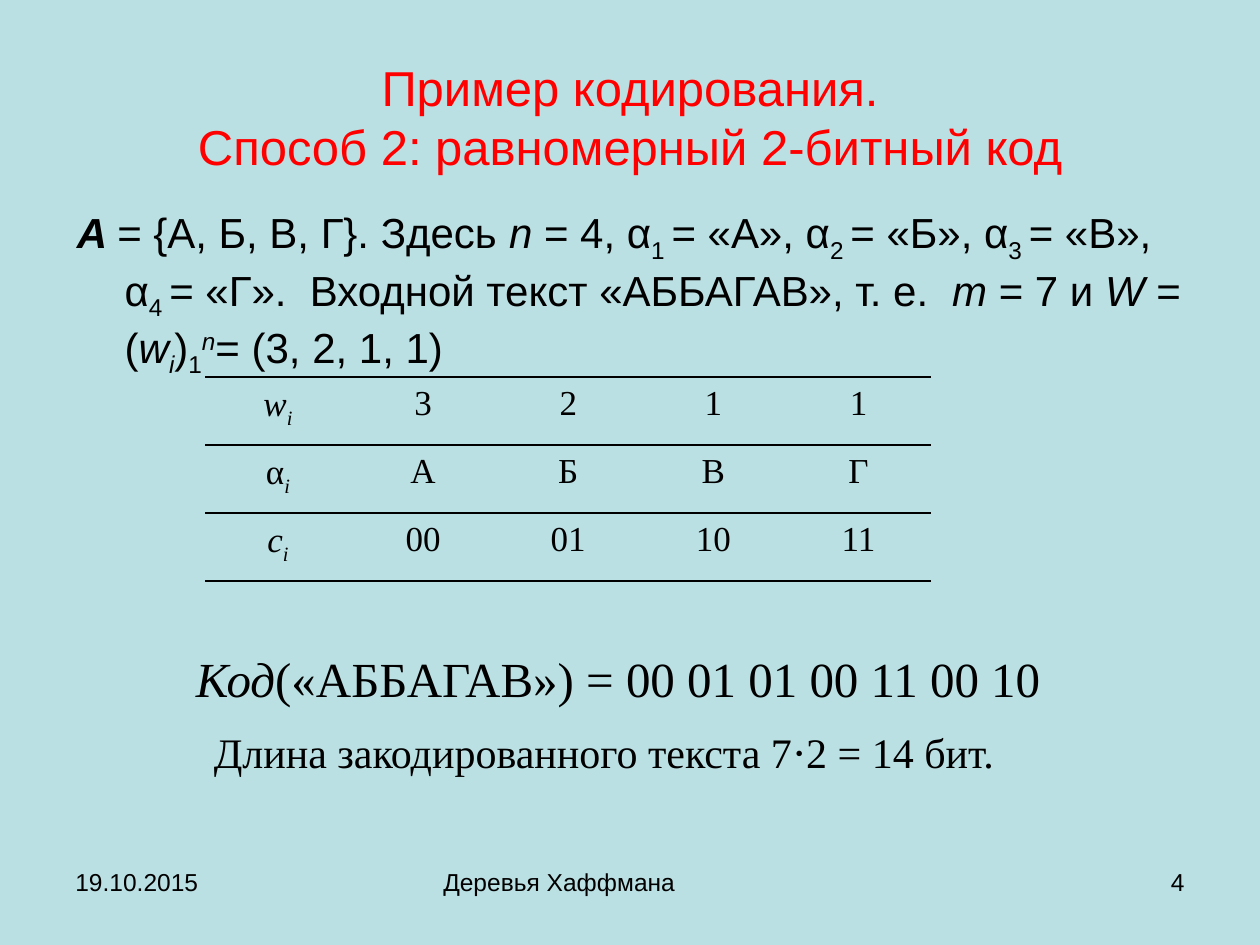
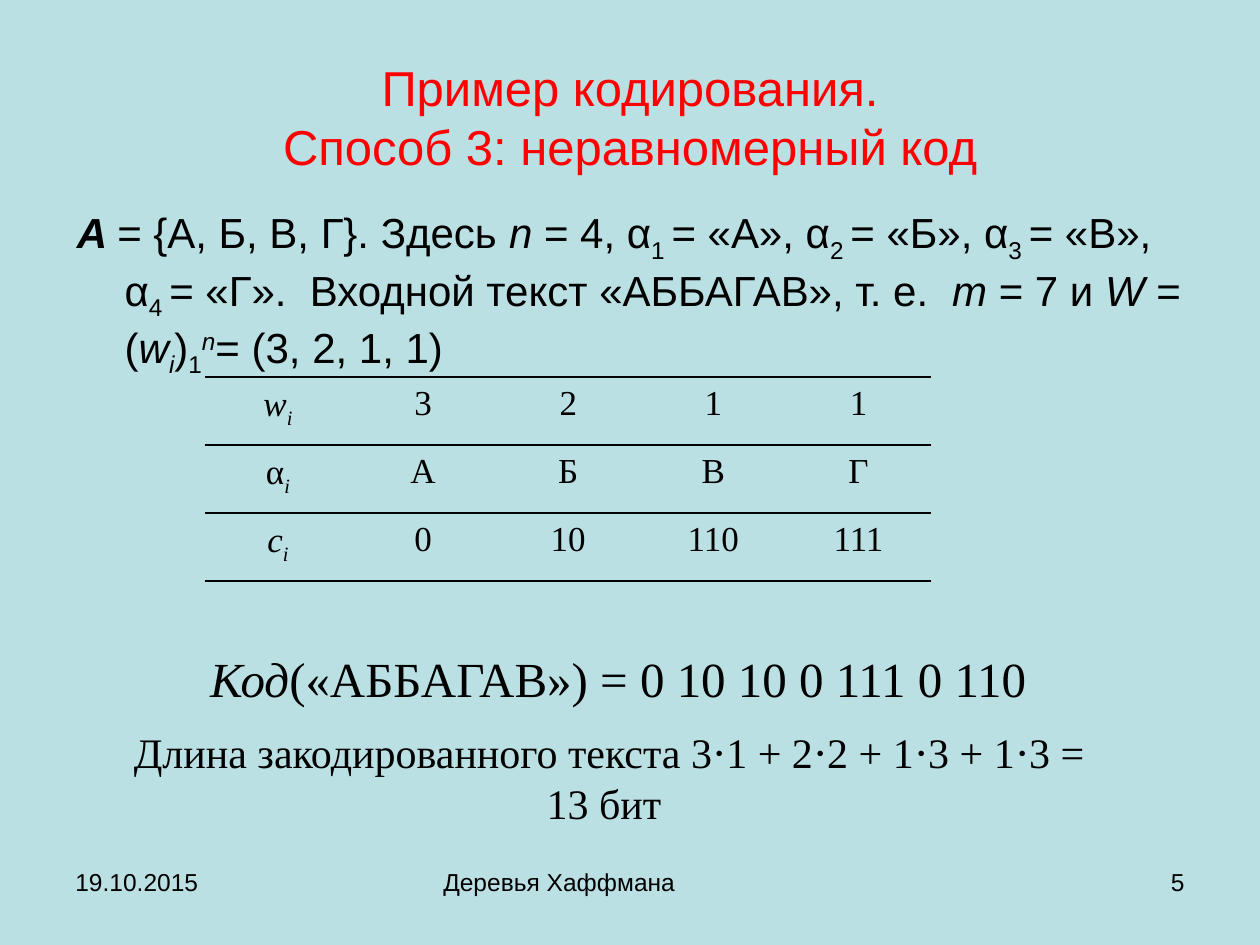
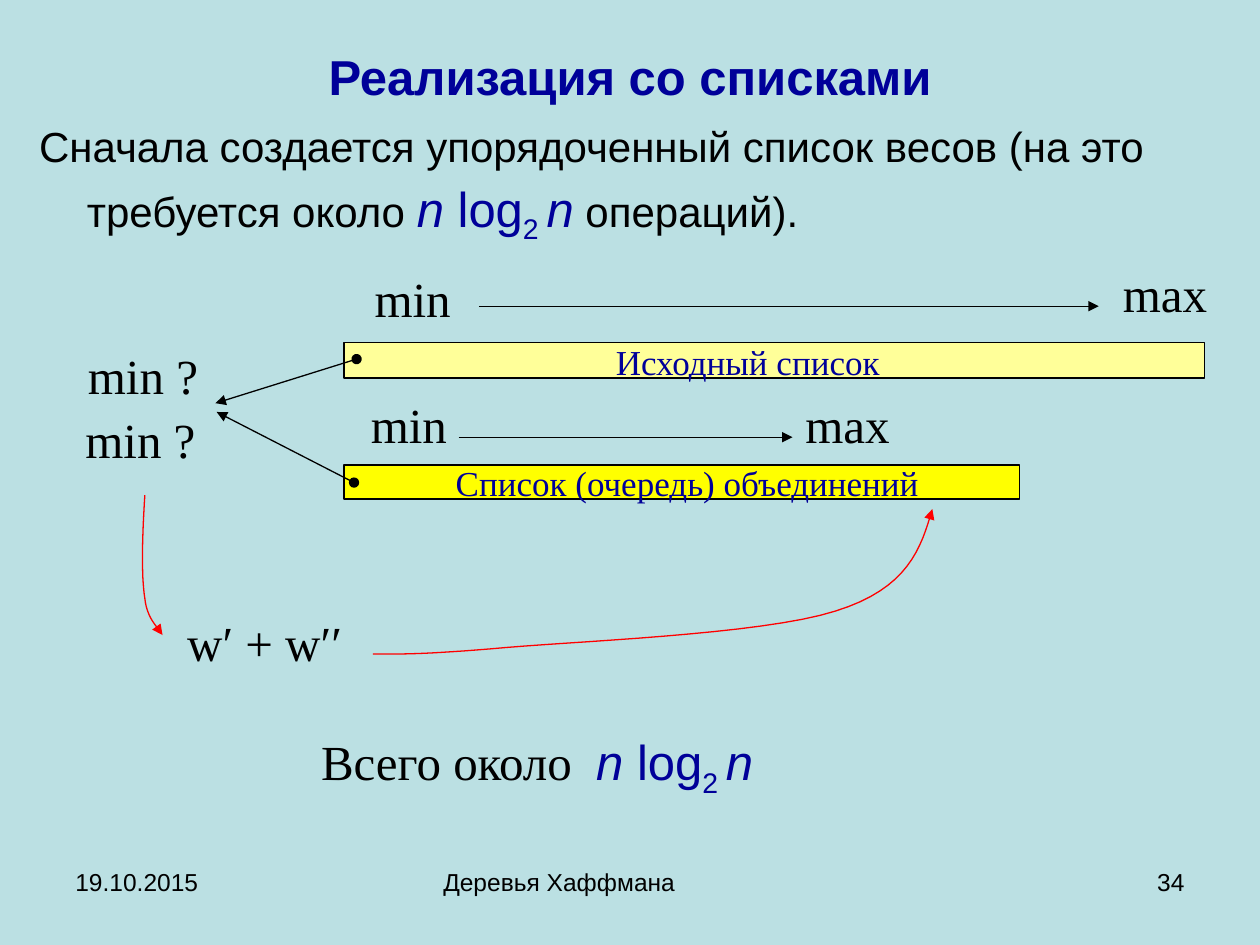
from dataclasses import dataclass, field

from lxml.etree import SubElement
from pptx import Presentation
from pptx.dml.color import RGBColor
from pptx.enum.shapes import MSO_CONNECTOR, MSO_SHAPE
from pptx.enum.text import MSO_ANCHOR, MSO_AUTO_SIZE, PP_ALIGN
from pptx.oxml.ns import qn
from pptx.util import Inches, Pt

# Slide size and grid: 100 columns by 75 rows
WIDE, HIGH = Inches(10), Inches(7.5)
COL, ROW = WIDE / 100, HIGH / 75

# Colours and fonts
SKY = RGBColor(0xBB, 0xE0, 0xE3)
RED = RGBColor(0xFF, 0x00, 0x00)
NAVY = RGBColor(0x00, 0x00, 0x99)
BLACK = RGBColor(0x00, 0x00, 0x00)
CREAM = RGBColor(0xFF, 0xFF, 0x99)
YELLOW = RGBColor(0xFF, 0xFF, 0x00)
SANS, SERIF = "Arial", "Times New Roman"
LEFT, MID, RIGHT = PP_ALIGN.LEFT, PP_ALIGN.CENTER, PP_ALIGN.RIGHT
SUB, SUP = -25, 30


@dataclass(frozen=True)
class Box:
    """Place in grid columns and rows."""
    x: float
    y: float
    w: float
    h: float

    def spans(self) -> tuple[int, int, int, int]:
        return int(self.x * COL), int(self.y * ROW), int(self.w * COL), int(self.h * ROW)


@dataclass(frozen=True)
class Bit:
    """A run of text with its own format."""
    text: str
    look: dict = field(default_factory=dict)


@dataclass(frozen=True)
class Label:
    text: str
    box: Box
    size: float = 28
    tint: RGBColor = BLACK


@dataclass(frozen=True)
class Arrow:
    start: tuple[float, float]
    end: tuple[float, float]
    dot: bool = False


@dataclass(frozen=True)
class Bar:
    box: Box
    tint: RGBColor


@dataclass(frozen=True)
class Code:
    """One way of coding the sample text."""
    title: str
    page: str
    words: tuple[str, ...]
    result: str
    total: str
    rows: float


def ital(text: str, **look) -> Bit:
    return Bit(text, {"italic": True, **look})


def sub(text: str, **look) -> Bit:
    return Bit(text, {"base": SUB, **look})


# Text helpers
def add(par, text: str, *, size: float = 24, face: str = SANS, tint: RGBColor = BLACK,
        bold: bool = False, italic: bool = False, base: int = 0) -> None:
    for num, line in enumerate(text.split("\n")):
        if num:
            par.add_line_break()
        run = par.add_run()
        run.text = line
        font = run.font
        font.size, font.name, font.bold, font.italic = Pt(size), face, bold, italic
        font.color.rgb = tint
        if base:
            run._r.get_or_add_rPr().set("baseline", str(base * 1000))


def fill_par(par, bits, align=LEFT, **look) -> None:
    par.alignment, par.space_before = align, Pt(0)
    for bit in [Bit(bits)] if isinstance(bits, str) else bits:
        add(par, bit.text, **{**look, **bit.look})


def place(shape, box: Box):
    shape.left, shape.top, shape.width, shape.height = box.spans()
    frame = shape.text_frame
    frame.word_wrap, frame.auto_size = True, MSO_AUTO_SIZE.NONE
    return frame


def note(slide, bits, box: Box, align=MID, **look) -> None:
    frame = place(slide.shapes.add_textbox(*box.spans()), box)
    fill_par(frame.paragraphs[0], bits, align, **look)


# Shared slide parts
def start(deck, title: str, page: str, box: Box, **look):
    slide = deck.slides.add_slide(deck.slide_layouts[1])
    frame = place(slide.shapes.title, box)
    frame.vertical_anchor = MSO_ANCHOR.MIDDLE
    fill_par(frame.paragraphs[0], title, MID, size=28, **look)
    for text, x, w, align in (("19.10.2015", 5, 23.3, LEFT),
                              ("Деревья Хаффмана", 34.2, 31.7, LEFT),
                              (page, 71.7, 23.3, RIGHT)):
        note(slide, text, Box(x, 68.3, w, 5.2), align, size=14)
    return slide


def body(slide, bits, box: Box) -> None:
    frame = place(slide.placeholders[1], box)
    frame.vertical_anchor = MSO_ANCHOR.TOP
    par = frame.paragraphs[0]
    props = par._p.get_or_add_pPr()
    props.set("marL", str(Inches(0.38)))
    props.set("indent", str(-Inches(0.38)))
    SubElement(props, qn("a:buNone"))
    fill_par(par, bits)


# Lines and shapes
def trim(shape, tint: RGBColor, dot: bool = False, tip: bool = True) -> None:
    shape.line.color.rgb, shape.line.width = tint, Pt(0.75)
    props = shape.element.spPr
    line = props.find(qn("a:ln"))
    if dot:
        SubElement(line, qn("a:headEnd"), type="oval")
    if tip:
        SubElement(line, qn("a:tailEnd"), type="triangle")
    if props.find(qn("a:effectLst")) is None:
        SubElement(props, qn("a:effectLst"))


def draw_bar(slide, bar: Bar) -> None:
    shape = slide.shapes.add_shape(MSO_SHAPE.RECTANGLE, *bar.box.spans())
    shape.shadow.inherit = False
    shape.fill.solid()
    shape.fill.fore_color.rgb = bar.tint
    trim(shape, BLACK, tip=False)


def draw_arrow(slide, arrow: Arrow) -> None:
    ends = [int(n * unit) for point in (arrow.start, arrow.end)
            for n, unit in zip(point, (COL, ROW))]
    trim(slide.shapes.add_connector(MSO_CONNECTOR.STRAIGHT, *ends), BLACK, arrow.dot)


def curve(slide, knots: list[tuple[float, float]], steps: int = 16) -> None:
    """Draw a chain of cubic curves: a start, then three knots for each."""
    dots = [knots[0]]
    for i in range(0, len(knots) - 1, 3):
        for k in range(1, steps + 1):
            t = k / steps
            parts = ((1 - t) ** 3, 3 * t * (1 - t) ** 2, 3 * t * t * (1 - t), t ** 3)
            dots.append(tuple(sum(p * knot[axis] for p, knot in zip(parts, knots[i:i + 4]))
                              for axis in (0, 1)))
    spots = [(int(x * COL), int(y * ROW)) for x, y in dots]
    pen = slide.shapes.build_freeform(*spots[0])
    pen.add_line_segments(spots[1:], close=False)
    shape = pen.convert_to_shape()
    shape.shadow.inherit = False
    shape.fill.background()
    trim(shape, RED)


# Table of weights, letters and codes
def rule(cell) -> None:
    props = cell._tc.get_or_add_tcPr()
    for side in ("L", "R"):
        SubElement(SubElement(props, qn(f"a:ln{side}"), w="0"), qn("a:noFill"))
    for side in ("T", "B"):
        line = SubElement(props, qn(f"a:ln{side}"), w=str(Pt(1)))
        paint = SubElement(line, qn("a:solidFill"))
        SubElement(paint, qn("a:srgbClr"), val=str(BLACK))
    cell.fill.background()


def draw_table(slide, words: tuple[str, ...]) -> None:
    index = ital("i", base=SUB)
    rows = [([ital("w"), index], *"3211"),
            ([Bit("α"), index], *"АБВГ"),
            ([ital("с"), index], *words)]
    box = Box(16.3, 29.9, 57.6, 16.2)
    table = slide.shapes.add_table(len(rows), len(rows[0]), *box.spans()).table
    table.first_row = table.horz_banding = False
    for r, row in enumerate(rows):
        for c, bits in enumerate(row):
            cell = table.cell(r, c)
            cell.margin_left = cell.margin_right = Inches(0.07)
            cell.margin_top = cell.margin_bottom = 0
            rule(cell)
            par = cell.text_frame.paragraphs[0]
            fill_par(par, bits, MID, size=20, face=SERIF)
            par.line_spacing, par.space_after = 1.2, Pt(3)


# Contents
GIVEN = [
    ital("A ", bold=True), Bit("= {А, Б, В, Г}. Здесь "), ital("n "), Bit("= 4, α"),
    sub("1 "), Bit("= «А», α"), sub("2 "), Bit("= «Б», α"), sub("3 "),
    Bit("= «В», α"), sub("4 "),
    Bit("= «Г».  Входной текст «АББАГАВ», т. е.  "), ital("m "), Bit("= 7 и "),
    ital("W "), Bit("= ("), ital("w"), ital("i", base=SUB), Bit(")"), sub("1"),
    ital("n", base=SUP), Bit("= (3, 2, 1, 1)"),
]
CODES = [
    Code("Пример кодирования.\nСпособ 2: равномерный 2-битный код", "4",
         ("00", "01", "10", "11"), "00 01 01 00 11 00 10",
         "Длина закодированного текста 7⋅2 = 14 бит. ", 5.1),
    Code("Пример кодирования.\nСпособ 3: неравномерный код", "5",
         ("0", "10", "110", "111"), "0 10 10 0 111 0 110",
         "Длина закодированного текста 3⋅1 + 2⋅2 + 1⋅3 + 1⋅3 = 13 бит ", 9.1),
]
BIG = {"size": 28, "face": SANS, "tint": NAVY}
COST = [ital("n", **BIG), Bit(" log", BIG), sub("2 ", **BIG), ital("n", **BIG)]
BARS = [Bar(Box(27.3, 27.2, 68.3, 2.8), CREAM), Bar(Box(27.3, 36.9, 53.6, 2.7), YELLOW)]
ARROWS = [
    Arrow((38, 24.3), (87.2, 24.3)),
    Arrow((36.4, 34.7), (62.9, 34.7)),
    Arrow((28.3, 28.5), (17.1, 32), dot=True),
    Arrow((28.1, 38.3), (17.2, 32.7), dot=True),
]
LABELS = [
    Label("min", Box(27.5, 20.8, 10.5, 5.7)),
    Label("max", Box(87.2, 20.4, 10.5, 5.7)),
    Label("min ?", Box(5.2, 26.9, 12.3, 5.7)),
    Label("min ?", Box(5, 32, 12.3, 5.7)),
    Label("min", Box(27.2, 30.8, 10.5, 5.7)),
    Label("max", Box(62, 30.8, 10.5, 5.7)),
    Label("w′ + w′′", Box(9.2, 48.1, 23.6, 5.7)),
    Label("Исходный список", Box(46.3, 26.5, 26.1, 4.3), 20, NAVY),
    Label("Список (очередь) объединений", Box(29, 36.1, 51.1, 4.3), 20, NAVY),
]
CURVES = [
    [(11.5, 39.3), (11.3, 42.5), (11.2, 45.6), (11.5, 47.5),
     (11.7, 49.3), (12.7, 49.9), (12.9, 50.4)],
    [(29.6, 51.9), (31.2, 51.9), (32.8, 52), (38.9, 51.5),
     (45.1, 50.9), (60.4, 50.4), (66.3, 48.5),
     (72.1, 46.7), (73.1, 43.5), (74, 40.4)],
]


def code_slide(deck, code: Code) -> None:
    slide = start(deck, code.title, code.page, Box(5, 3, 90, 12.5), tint=RED)
    body(slide, GIVEN, Box(5.1, 15.9, 90.1, 10.1))
    draw_table(slide, code.words)
    note(slide, [ital("Код"), Bit(f"(«АББАГАВ») = {code.result}")],
         Box(6.2, 51, 85.7, 5.7), size=28, face=SERIF)
    note(slide, code.total, Box(7.8, 57.2, 81.1, code.rows), face=SERIF)


def list_slide(deck) -> None:
    slide = start(deck, "Реализация со списками", "34", Box(5, 3, 90, 6),
                  tint=NAVY, bold=True)
    lead = "Сначала создается упорядоченный список весов (на это требуется около "
    body(slide, [Bit(lead), *COST, Bit(" операций)."), Bit(" ", {"size": 32})],
         Box(2.1, 9.1, 97.9, 11.8))
    for bar in BARS:
        draw_bar(slide, bar)
    for arrow in ARROWS:
        draw_arrow(slide, arrow)
    for knots in CURVES:
        curve(slide, knots)
    for label in LABELS:
        note(slide, label.text, label.box, size=label.size, face=SERIF, tint=label.tint)
    note(slide, [Bit("Всего около  "), *COST], Box(24.5, 57.6, 39.1, 5.7), LEFT,
         size=28, face=SERIF)


def main() -> None:
    deck = Presentation()
    deck.slide_width, deck.slide_height = WIDE, HIGH
    back = deck.slide_master.background.fill
    back.solid()
    back.fore_color.rgb = SKY
    for code in CODES:
        code_slide(deck, code)
    list_slide(deck)
    deck.save("out.pptx")


if __name__ == "__main__":
    main()
